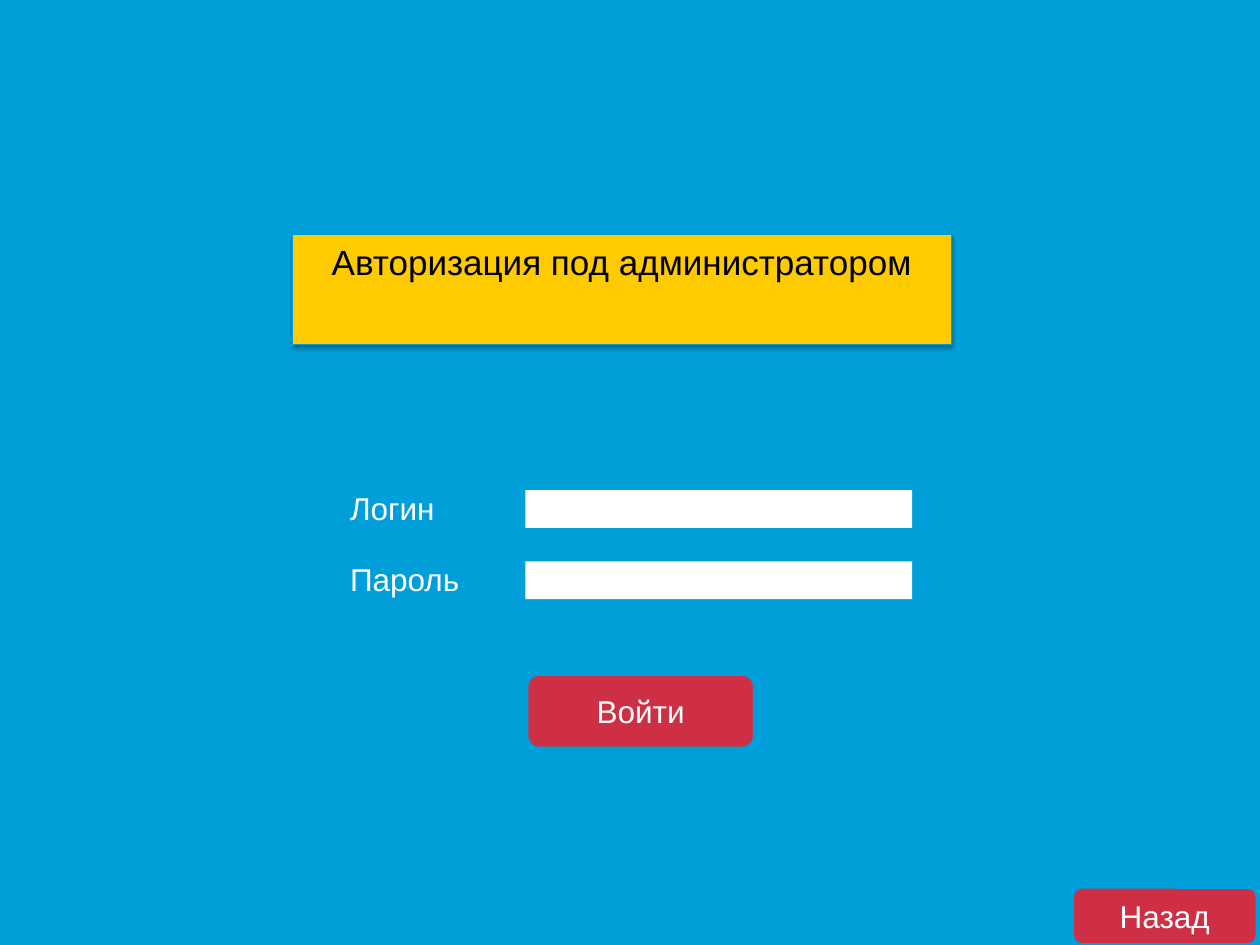
from lxml.etree import SubElement
from pptx import Presentation
from pptx.dml.color import RGBColor
from pptx.enum.shapes import MSO_SHAPE
from pptx.enum.text import MSO_ANCHOR, MSO_AUTO_SIZE, PP_ALIGN
from pptx.oxml.ns import qn
from pptx.util import Inches, Pt

COLORS = {
    "sky": "009FDA",
    "yellow": "FECB00",
    "red": "CF2F44",
    "white": "FFFFFF",
    "black": "000000",
}
WIDTH, HEIGHT = Inches(10), Inches(7.5)
FIRST_ROW, ROW_STEP = 51.87, 7.53


def color(name):
    """Return a named colour."""
    return RGBColor.from_string(COLORS[name])


def area(left, top, width, height):
    """Turn percentages of the slide into lengths."""
    return [
        round(share * side / 100)
        for share, side in zip((left, top, width, height), (WIDTH, HEIGHT) * 2)
    ]


def write(box, text, size, ink, align, anchor):
    """Put one styled paragraph in a box."""
    frame = box.text_frame
    frame.word_wrap = True
    frame.vertical_anchor = anchor
    para = frame.paragraphs[0]
    para.text = text
    para.alignment = align
    para.font.name = "Arial"
    para.font.size = Pt(size)
    para.font.color.rgb = color(ink)


def add_block(page, kind, place, fill, line_width=0):
    """Add a filled shape, outlined when a line width is given."""
    box = page.shapes.add_shape(kind, *area(*place))
    box.shadow.inherit = False
    box.fill.solid()
    box.fill.fore_color.rgb = color(fill)
    if line_width:
        box.line.color.rgb = color("sky")
        box.line.width = Pt(line_width)
    else:
        box.line.fill.background()
    return box


def add_drop_shadow(box):
    """Give a shape a soft shadow below it."""
    effects = box._element.spPr.find(qn("a:effectLst"))
    shadow = SubElement(
        effects, qn("a:outerShdw"), blurRad=str(Pt(3.1)), dist=str(Pt(1.6)),
        dir="5400000", rotWithShape="0",
    )
    tint = SubElement(shadow, qn("a:srgbClr"), val=COLORS["black"])
    SubElement(tint, qn("a:alpha"), val="38000")


def add_banner(page, text, place):
    """Add the title banner."""
    banner = add_block(page, MSO_SHAPE.RECTANGLE, place, "yellow", 0.25)
    add_drop_shadow(banner)
    write(banner, text, 20, "black", PP_ALIGN.CENTER, MSO_ANCHOR.TOP)


def add_button(page, text, place):
    """Add a rounded button."""
    button = add_block(page, MSO_SHAPE.ROUNDED_RECTANGLE, place, "red", 2)
    write(button, text, 18, "white", PP_ALIGN.CENTER, MSO_ANCHOR.MIDDLE)


def add_field(page, text, top):
    """Add an input field with its label."""
    add_block(page, MSO_SHAPE.RECTANGLE, (41.7, top, 30.7, 4), "white")
    label = page.shapes.add_textbox(*area(26.8, top - 0.75, 13.4, 5.33))
    write(label, text, 18, "white", PP_ALIGN.LEFT, MSO_ANCHOR.TOP)
    label.text_frame.auto_size = MSO_AUTO_SIZE.SHAPE_TO_FIT_TEXT


def main():
    """Build the login slide."""
    deck = Presentation()
    deck.slide_width, deck.slide_height = WIDTH, HEIGHT
    page = deck.slides.add_slide(deck.slide_layouts[6])
    page.background.fill.solid()
    page.background.fill.fore_color.rgb = color("sky")

    add_banner(page, "Авторизация под администратором", (23.2, 24.8, 52.3, 11.6))
    for row, text in enumerate(("Логин", "Пароль")):
        add_field(page, text, FIRST_ROW + row * ROW_STEP)
    add_button(page, "Войти", (41.8, 71.33, 18.1, 7.87))
    add_button(page, "Назад", (85.1, 93.87, 14.7, 6.13))
    deck.save("out.pptx")


main()
